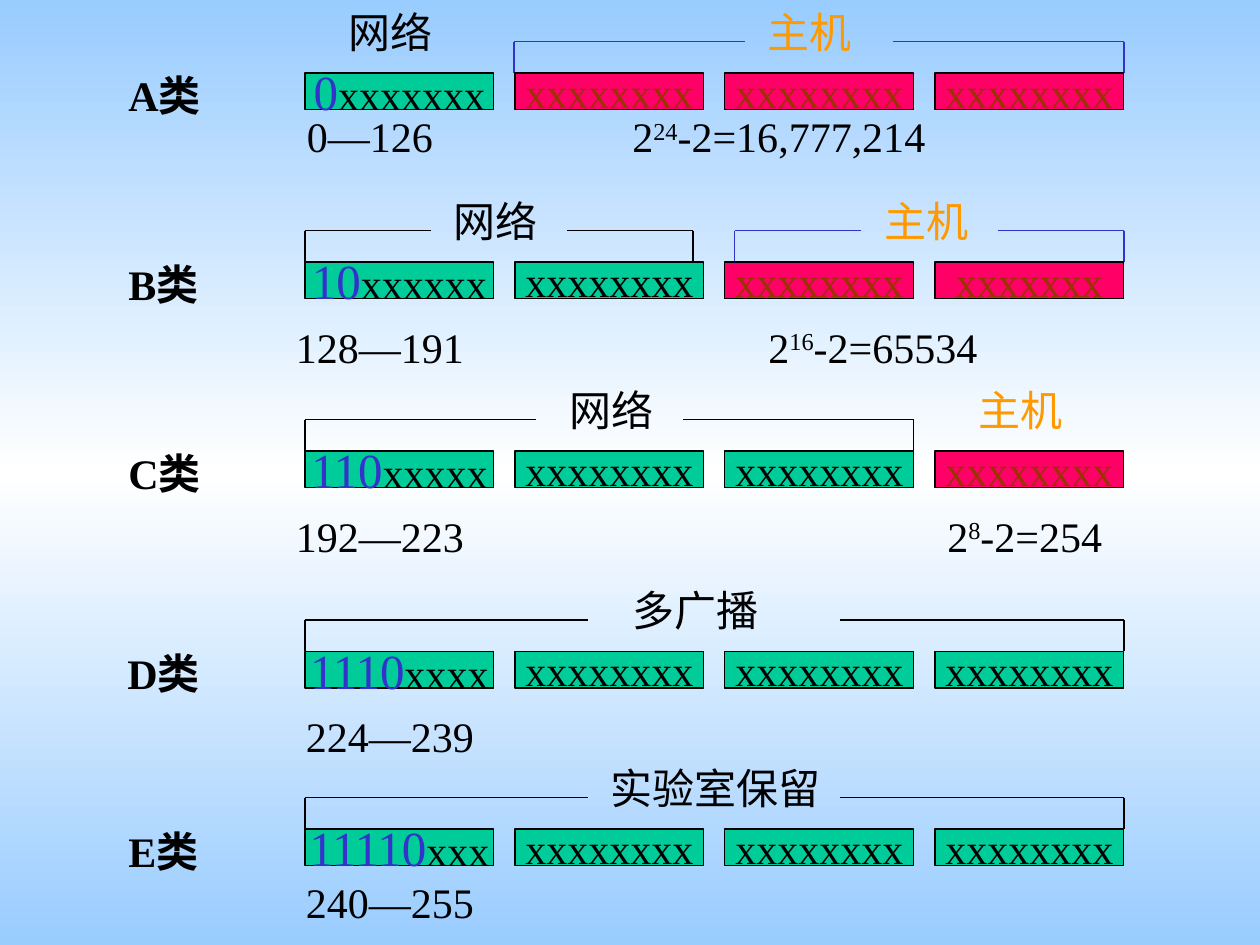
from copy import deepcopy
from dataclasses import dataclass

from lxml import etree
from pptx import Presentation
from pptx.dml.color import RGBColor
from pptx.enum.shapes import MSO_CONNECTOR, MSO_SHAPE
from pptx.enum.text import MSO_ANCHOR, MSO_AUTO_SIZE, PP_ALIGN
from pptx.oxml.ns import qn
from pptx.util import Inches, Pt

RECT = MSO_SHAPE.RECTANGLE
LINE = MSO_CONNECTOR.STRAIGHT
MIDDLE = MSO_ANCHOR.MIDDLE
GROW = MSO_AUTO_SIZE.SHAPE_TO_FIT_TEXT
CENTER = PP_ALIGN.CENTER

LEFT, STEP = 2.42, 5 / 3
CELL_W, CELL_H = 1.5, 0.29
RISE = 0.25
SPACE = 0.083


@dataclass(frozen=True)
class Theme:
    font: str = "Times New Roman"
    size: float = 24
    big: float = 28
    gap: float = 15
    rule: float = 0.75
    ink: str = "000000"
    blue: str = "3333CC"
    orange: str = "FF9900"
    brown: str = "993300"
    green: str = "00CC99"
    pink: str = "FF0066"
    sky: str = "99CCFF"
    white: str = "FFFFFF"


THEME = Theme()


@dataclass
class Label:
    text: str
    left: float
    width: float
    drop: float = -0.58
    color: str = THEME.ink
    bold: bool = False
    indent: float = 0
    power: str = ""
    tail: str = ""


@dataclass
class Bracket:
    left: float
    right: float
    arm: float
    color: str = THEME.ink


@dataclass
class Row:
    top: float
    prefix: str
    nets: int
    labels: list
    brackets: list
    last: int = 8


def rgb(code):
    return RGBColor.from_string(code)


def style(font, color, bold=False):
    font.name, font.size, font.bold = THEME.font, Pt(THEME.size), bold
    font.color.rgb = rgb(color)


def add_run(para, text):
    run = para.add_run()
    run.text = text
    return run


def add_label(shapes, label, top):
    box = shapes.add_textbox(Inches(label.left), Inches(top + label.drop),
                             Inches(label.width), Inches(0.5))
    frame = box.text_frame
    frame.word_wrap, frame.auto_size = True, GROW
    para = frame.paragraphs[0]
    para.space_before = Pt(THEME.gap)
    style(para.font, label.color, label.bold)
    if label.indent:
        props = para._p.get_or_add_pPr()
        props.set("marL", "0")
        props.set("indent", str(Inches(label.indent)))
    add_run(para, label.text)
    if label.power:
        power = add_run(para, label.power)
        power.font._element.set("baseline", "30000")
        add_run(para, label.tail)


def add_cell(shapes, left, top, text, fill, color, prefix=""):
    cell = shapes.add_shape(RECT, Inches(left), Inches(top),
                            Inches(CELL_W), Inches(CELL_H))
    cell.shadow.inherit = False
    cell.fill.solid()
    cell.fill.fore_color.rgb = rgb(fill)
    cell.line.color.rgb = rgb(THEME.ink)
    cell.line.width = Pt(THEME.rule)
    frame = cell.text_frame
    frame.word_wrap, frame.vertical_anchor = False, MIDDLE
    para = frame.paragraphs[0]
    para.alignment = CENTER
    style(para.font, color)
    if prefix:
        font = add_run(para, prefix).font
        font.size = Pt(THEME.big)
        font.color.rgb = rgb(THEME.blue)
    # A shape's style sets white text, so each run states its colour.
    add_run(para, text).font.color.rgb = rgb(color)


def add_line(shapes, start, end, color):
    line = shapes.add_connector(LINE, *map(Inches, start + end))
    line.line.color.rgb = rgb(color)
    line.line.width = Pt(THEME.rule)
    etree.SubElement(line._element.spPr, qn("a:effectLst"))


def add_bracket(shapes, mark, top):
    """Draw a bracket that is open in the middle for its label."""
    high = top - RISE
    for edge, arm in ((mark.left, mark.arm), (mark.right, -mark.arm)):
        add_line(shapes, (edge, high), (edge, top), mark.color)
        ends = sorted((edge, edge + arm))
        add_line(shapes, (ends[0], high), (ends[1], high), mark.color)


def add_row(slide, row):
    shapes = slide.shapes.add_group_shape().shapes
    for mark in row.brackets:
        add_bracket(shapes, mark, row.top)
    for col in range(4):
        net = col < row.nets
        prefix = "" if col else row.prefix
        count = row.last if col == 3 else 8 - len(prefix)
        add_cell(shapes, LEFT + col * STEP, row.top, "x" * count,
                 THEME.green if net else THEME.pink,
                 THEME.ink if net else THEME.brown, prefix)
    for label in row.labels:
        add_label(shapes, label, row.top)


def paint(slide):
    fill = slide.background.fill
    fill.gradient()
    fill.gradient_angle = 90
    stops = slide._element.find(".//" + qn("a:gsLst"))
    stops.append(deepcopy(stops[0]))
    colors = (THEME.sky, THEME.white, THEME.sky)
    for stop, color, place in zip(fill.gradient_stops, colors, (0, 0.5, 1)):
        stop.color.rgb = rgb(color)
        stop.position = place


def name(text, left=0.92, width=0.92, indent=0):
    return Label(text, left, width, -0.08, bold=True, indent=indent)


def host(left, indent=0):
    return Label("主机", left, 1.17, color=THEME.orange, indent=indent)


def count(power, tail, left, width, drop):
    return Label("2", left, width, drop, power=power, tail=tail)


def main():
    deck = Presentation()
    deck.slide_width, deck.slide_height = Inches(10), Inches(7.5)
    slide = deck.slides.add_slide(deck.slide_layouts[6])
    paint(slide)
    wide = Bracket(LEFT, 8.92, 2.25)
    rows = [
        Row(0.58, "0", 1,
            [name("A类"), Label("网络", 2.67, 1.17), host(5.83, 2 * SPACE),
             Label("0—126", 2.17, 1.58, 0.25, indent=2 * SPACE),
             count("24", "-2=16,777,214", 4.92, 2.83, 0.25)],
            [Bracket(4.08, 8.92, 1.83, THEME.blue)]),
        Row(2.08, "10", 2,
            [name("B类", width=0.83), Label("网络", 3.5, 1.17), host(6.92),
             Label("128—191", 2.25, 1.92, 0.42),
             count("16", "-2=65534", 6, 2.08, 0.42)],
            [Bracket(LEFT, 5.5, 1), Bracket(5.83, 8.92, 1, THEME.blue)],
            last=7),
        Row(3.58, "110", 3,
            [name("C类"), Label("网络", 4.42, 1.17), host(7.5, 2 * SPACE),
             Label("192—223", 2.25, 1.58, 0.42),
             count("8", "-2=254", 7.42, 1.83, 0.42)],
            [Bracket(LEFT, 7.25, 1.83)]),
        Row(5.17, "1110", 4,
            [name("D类", left=0.83, indent=SPACE),
             Label("多广播", 4.67, 1.92, indent=3 * SPACE),
             Label("224—239", 2.33, 1.67, 0.42)], [wide]),
        Row(6.58, "11110", 4,
            [name("E类"), Label("实验室保留", 4.58, 2.08, indent=2 * SPACE),
             Label("240—255", 2.33, 1.83, 0.33)], [wide]),
    ]
    for row in rows:
        add_row(slide, row)
    deck.save("out.pptx")


if __name__ == "__main__":
    main()
